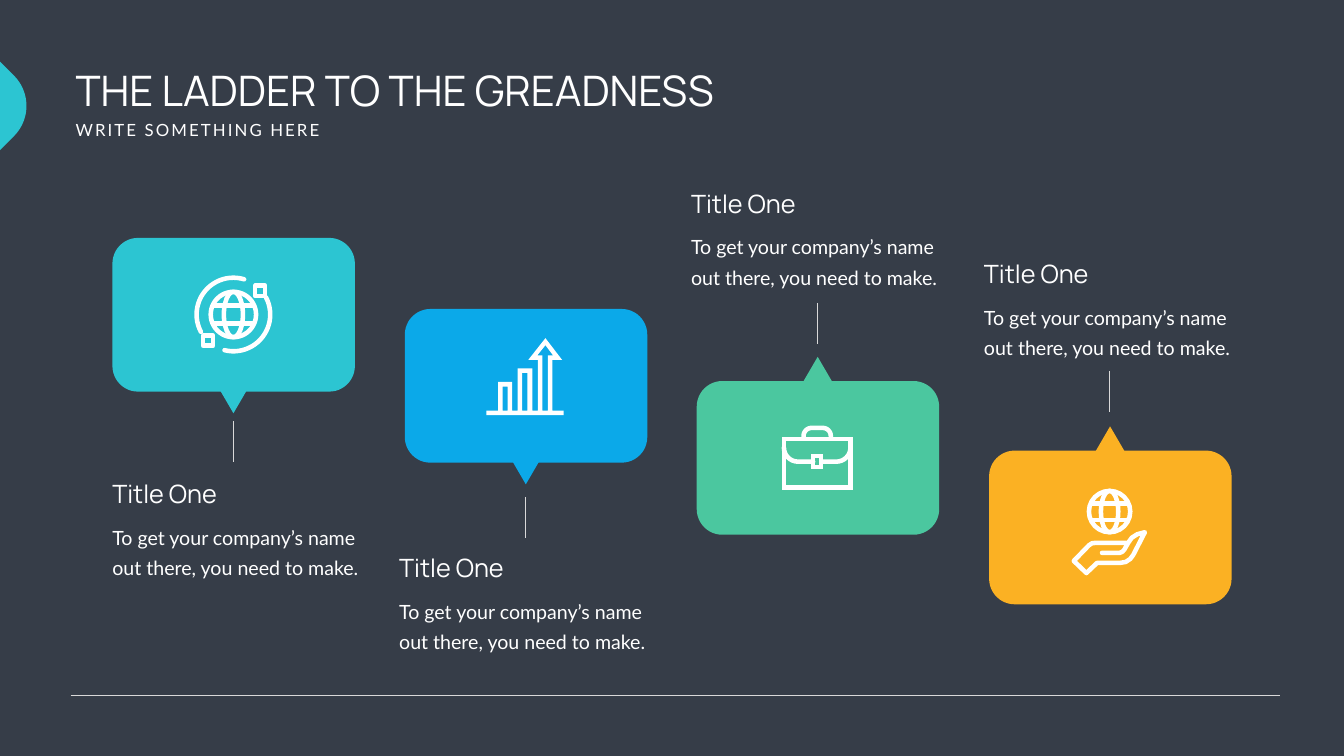
from dataclasses import dataclass
from math import cos, radians, sin

from lxml import etree
from pptx import Presentation
from pptx.dml.color import RGBColor as Rgb
from pptx.enum.shapes import MSO_CONNECTOR as Conn, MSO_SHAPE as Kind
from pptx.oxml.ns import qn
from pptx.util import Inches, Pt


@dataclass(frozen=True)
class Theme:
    back: str = "363D48"
    teal: str = "2CC5D2"
    blue: str = "0BA9E9"
    green: str = "4BC79F"
    gold: str = "FBB123"
    white: str = "FFFFFF"
    rule: str = "D9D9D9"
    head: str = "Manrope"
    body: str = "Lato"
    title: int = 60
    label: int = 36
    copy: int = 28
    sub: int = 24
    thin: float = 0.5
    fine: float = 1
    bold: float = 6.5


theme = Theme()
deck = Presentation()
deck.slide_width, deck.slide_height = Inches(26.66), Inches(15)
slide = deck.slides.add_slide(deck.slide_layouts[6])
slide.background.fill.solid()
slide.background.fill.fore_color.rgb = Rgb.from_string(theme.back)
shapes = slide.shapes


def text(words, x, y, w, h, size, font, wrap=True, lead=None, track=None):
    box = shapes.add_textbox(Inches(x), Inches(y), Inches(w), Inches(h))
    box.text_frame.word_wrap = wrap
    para = box.text_frame.paragraphs[0]
    if lead:
        para.line_spacing = Pt(lead)
    run = para.add_run()
    run.text = words
    run.font.size = Pt(size)
    run.font.name = font
    run.font.color.rgb = Rgb.from_string(theme.white)
    if track:
        run.font._element.set("spc", str(track * 100))


def arc(x, y, r, start, end, steps=24):
    """Points along a circle; degrees run clockwise from the right."""
    turns = [radians(start + (end - start) * i / steps) for i in range(steps + 1)]
    return [(x + r * cos(t), y + r * sin(t)) for t in turns]


# Header
text("THE LADDER TO THE GREADNESS", 1.4, 1.24, 14.89, 1.11, theme.title, theme.head)
text("WRITE SOMETHING HERE", 1.4, 2.33, 5.14, 0.5, theme.sub, theme.body,
     wrap=False, track=3)

# Cards: left, top, text left, label top, line top, colour, pointer up
cards = [
    (2.23, 4.72, 2.13, 9.45, 8.36, theme.teal, False),
    (8.03, 6.13, 7.82, 10.91, 9.86, theme.blue, False),
    (13.82, 7.56, 13.61, 3.68, 6.01, theme.green, True),
    (19.62, 8.94, 19.42, 5.07, 7.36, theme.gold, True),
]
lines = [(1.4, 13.79, 25.4, 13.79, theme.rule, theme.thin)]
for x, y, left, top, stem, hue, up in cards:
    tip = y - 0.48 if up else y + 2.81
    for kind, at in ((Kind.ROUNDED_RECTANGLE, (x, y, 4.81, 3.05)),
                     (Kind.ISOSCELES_TRIANGLE, (x + 2.01, tip, 0.78, 0.67))):
        part = shapes.add_shape(kind, *map(Inches, at))
        part.shadow.inherit = False
        part.fill.solid()
        part.fill.fore_color.rgb = Rgb.from_string(hue)
        part.line.fill.background()
    part.rotation = 0 if up else 180
    mid = x + 2.39
    lines.append((mid, stem, mid, stem + 0.81, theme.rule, theme.fine))
    text("Title One", left, top, 5.2, 0.71, theme.label, theme.head)
    text("To get your company’s name out there, you need to make.",
         left, top + 0.81, 5.2, 1.25, theme.copy, theme.body, lead=43)

# Globes
for x, y, r in ((4.63, 6.24, 0.45), (22.01, 10.15, 0.41)):
    for half in (r, 0.42 * r):
        ring = shapes.add_shape(Kind.OVAL, Inches(x - half), Inches(y - r),
                                Inches(2 * half), Inches(2 * r))
        ring.shadow.inherit = False
        ring.fill.background()
        ring.line.color.rgb = Rgb.from_string(theme.white)
        ring.line.width = Pt(theme.bold)
    for dy in (-0.4 * r, 0.4 * r):
        lines.append((x - 0.9 * r, y + dy, x + 0.9 * r, y + dy, theme.white, theme.bold))

for x1, y1, x2, y2, hue, width in lines:
    line = shapes.add_connector(Conn.STRAIGHT, *map(Inches, (x1, y1, x2, y2)))
    line.line.color.rgb = Rgb.from_string(hue)
    line.line.width = Pt(width)
    etree.SubElement(line._element.spPr, qn("a:effectLst"))

# Stroked outlines: points, closed, corner join
orbit = [(arc(4.63, 6.24, 0.73, a, b), False, "round") for a, b in ((-28, 104), (152, 287))]
nodes = [([(x - 0.1, y - 0.1), (x + 0.1, y - 0.1), (x + 0.1, y + 0.1), (x - 0.1, y + 0.1)],
          True, "round") for x, y in ((5.16, 5.77), (4.13, 6.76))]
case = [(15.55, 8.71), (16.87, 8.71), (16.87, 9.67), (15.55, 9.67)]
clasp = [(16.13, 9.05), (16.29, 9.05), (16.29, 9.27), (16.13, 9.27)]
grip = [(15.94, 8.7), *arc(16.1, 8.65, 0.16, 180, 270, 8),
        *arc(16.32, 8.65, 0.16, 270, 360, 8), (16.48, 8.7)]
straps = [([*arc(15.83, 8.88, 0.28, 180, 90, 8), (16.13, 9.16)], False, "round"),
          ([*arc(16.59, 8.88, 0.28, 0, 90, 8), (16.29, 9.16)], False, "round")]
hand = [(21.86, 10.97), (22.21, 10.97), (22.26, 10.95), (22.3, 10.91), (22.38, 10.77),
        (22.45, 10.67), (22.56, 10.6), (22.71, 10.56), (22.48, 11.01), (22.42, 11.09),
        (22.33, 11.15), (22.21, 11.17), (21.76, 11.17), (21.55, 11.37), (21.3, 11.13),
        (21.6, 10.82), (21.66, 10.78), (21.74, 10.77), (22.36, 10.77)]
marks = [*orbit, *nodes, (case, True, "miter"), (clasp, True, "miter"),
         (grip, False, "round"), *straps, (hand, False, "round")]

for points, closed, join in marks:
    spots = [(Inches(x), Inches(y)) for x, y in points]
    pen = shapes.build_freeform(*spots[0])
    pen.add_line_segments(spots[1:], close=closed)
    mark = pen.convert_to_shape()
    mark.shadow.inherit = False
    mark.fill.background()
    mark.line.color.rgb = Rgb.from_string(theme.white)
    mark.line.width = Pt(theme.bold)
    edge = mark._element.spPr.find(qn("a:ln"))
    edge.set("cap", "rnd" if join == "round" else "flat")
    etree.SubElement(edge, qn(f"a:{join}"))

# Filled outlines: contours (the inner ones are holes), colour, rotation
holes = [[(x, y), (x + 0.1, y), (x + 0.1, 8.15), (x, 8.15)]
         for x, y in ((9.97, 7.67), (10.36, 7.4))]
shaft = [(10.66, 7.05), (10.82, 6.85), (10.97, 7.05), (10.87, 7.05), (10.87, 8.15),
         (10.76, 8.15), (10.76, 7.05)]
chart = [(10.96, 8.15), (10.96, 7.14), (11.15, 7.14), (10.82, 6.71), (10.48, 7.14),
         (10.67, 7.14), (10.67, 8.15), (10.56, 8.15), (10.56, 7.31), (10.27, 7.31),
         (10.27, 8.15), (10.16, 8.15), (10.16, 7.58), (9.88, 7.58), (9.88, 8.15),
         (9.65, 8.15), (9.65, 8.24), (11.18, 8.24), (11.18, 8.15)]
tab = [(-0.62, 1.48), *arc(0.23, 1.87, 0.85, 180, 90), (0.62, 2.72)]

for rings, hue, turn in (([*holes, shaft, chart], theme.white, 0),
                         ([tab], theme.teal, 225)):
    spots = [[(Inches(x), Inches(y)) for x, y in ring] for ring in rings]
    pen = shapes.build_freeform(*spots[0][0])
    for ring in spots:
        if ring is not spots[0]:
            pen.move_to(*ring[0])
        pen.add_line_segments(ring[1:], close=True)
    solid = pen.convert_to_shape()
    solid.shadow.inherit = False
    solid.fill.solid()
    solid.fill.fore_color.rgb = Rgb.from_string(hue)
    solid.line.fill.background()
    solid.rotation = turn

deck.save("out.pptx")
